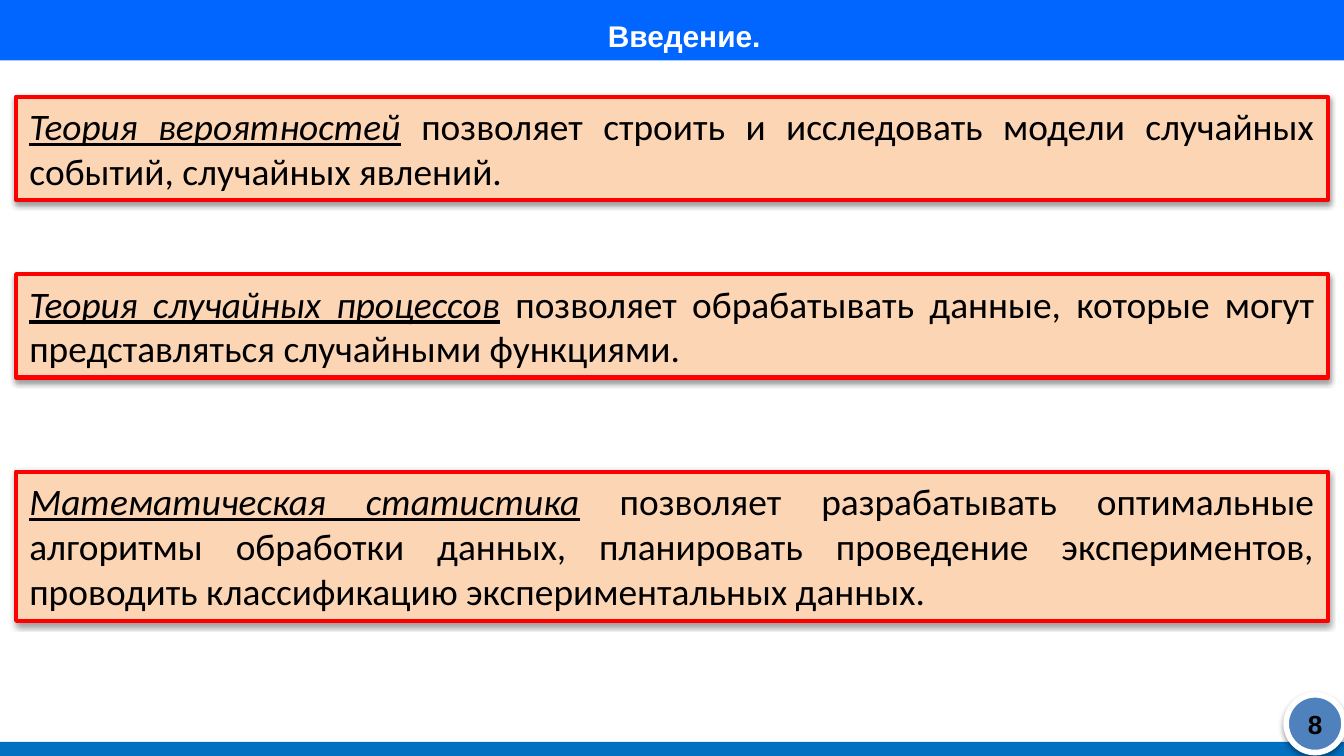
import pptx
import pptx.dml.color
import pptx.enum.shapes
import pptx.enum.text
import pptx.oxml.ns
import pptx.util
from lxml import etree

Inches = pptx.util.Inches
Pt = pptx.util.Pt
Shape = pptx.enum.shapes.MSO_SHAPE
Align = pptx.enum.text.PP_ALIGN
Anchor = pptx.enum.text.MSO_ANCHOR


class Theme:
    """Colours, fonts and type sizes of the slide."""
    header = "0066FF"
    footer = "0070C0"
    badge = "4F81BD"
    panel = "FCD5B5"
    border = "FF0000"
    light = "FFFFFF"
    dark = "000000"
    heading_font = "Arial"
    body_font = "Calibri"
    title_size = 16
    number_size = 14
    body_size = 20


def rgb(value):
    """Turn a hex string into a colour."""
    return pptx.dml.color.RGBColor.from_string(value)


class SlideBuilder:
    """Holds the style and the current slide."""

    def __init__(self, slide, theme):
        self.slide = slide
        self.theme = theme

    def shape(self, kind, box, fill, line=None, line_width=0):
        """Add a filled shape; an outlined one also gets a soft shadow."""
        shape = self.slide.shapes.add_shape(kind, *map(Inches, box))
        shape.shadow.inherit = False
        shape.fill.solid()
        shape.fill.fore_color.rgb = rgb(fill)
        if line:
            shape.line.color.rgb = rgb(line)
            shape.line.width = Pt(line_width)
            self.drop_shadow(shape)
        else:
            shape.line.fill.background()
        return shape

    def drop_shadow(self, shape):
        """Put a downward shadow into the effect list of a shape."""
        qn = pptx.oxml.ns.qn
        effects = shape.element.spPr.find(qn("a:effectLst"))
        shadow = etree.SubElement(
            effects, qn("a:outerShdw"), blurRad=str(Pt(3.1)),
            dist=str(Pt(1.6)), dir="5400000", rotWithShape="0")
        colour = etree.SubElement(
            shadow, qn("a:srgbClr"), val=self.theme.dark)
        etree.SubElement(colour, qn("a:alpha"), val="38000")

    def format_run(self, run, font, size, colour, bold=False):
        """Set the typeface, size, colour and weight of a run."""
        run.font.name = font
        run.font.size = Pt(size)
        run.font.color.rgb = rgb(colour)
        run.font.bold = bold

    def label(self, text, box, size, colour, anchor):
        """Add a centred bold line of text."""
        frame = self.slide.shapes.add_textbox(*map(Inches, box)).text_frame
        frame.word_wrap = True
        frame.vertical_anchor = anchor
        frame.text = text
        paragraph = frame.paragraphs[0]
        paragraph.alignment = Align.CENTER
        self.format_run(paragraph.runs[0], self.theme.heading_font,
                        size, colour, bold=True)
        return frame

    def definition(self, term, description, top, height):
        """Add a bordered panel with an underlined term and its description."""
        theme = self.theme
        panel = self.shape(Shape.RECTANGLE, (0.12, top, 9.76, height),
                           theme.panel, theme.border, 2.25)
        frame = panel.text_frame
        frame.word_wrap = True
        frame.vertical_anchor = Anchor.TOP
        frame.auto_size = pptx.enum.text.MSO_AUTO_SIZE.SHAPE_TO_FIT_TEXT
        paragraph = frame.paragraphs[0]
        paragraph.alignment = Align.JUSTIFY
        for text, is_term in ((term, True), (" " + description, False)):
            run = paragraph.add_run()
            run.text = text
            self.format_run(run, theme.body_font, theme.body_size, theme.dark)
            run.font.italic = is_term
            run.font.underline = is_term


DEFINITIONS = [
    ("Теория вероятностей",
     "позволяет строить и исследовать модели случайных событий, "
     "случайных явлений.", 0.72, 0.77),
    ("Теория случайных процессов",
     "позволяет обрабатывать данные, которые могут представляться "
     "случайными функциями.", 2.04, 0.77),
    ("Математическая статистика",
     "позволяет разрабатывать оптимальные алгоритмы обработки данных, "
     "планировать проведение экспериментов, проводить классификацию "
     "экспериментальных данных.", 3.51, 1.11),
]


def main():
    """Build the slide and save it."""
    presentation = pptx.Presentation()
    presentation.slide_width = Inches(10)
    presentation.slide_height = Inches(10 * 9 / 16)
    slide = presentation.slides.add_slide(presentation.slide_layouts[6])
    theme = Theme()
    builder = SlideBuilder(slide, theme)

    builder.shape(Shape.RECTANGLE, (0, 0, 10, 0.45), theme.header)
    title = builder.label("Введение.", (0.77, -0.02, 8.48, 0.47),
                          theme.title_size, theme.light, Anchor.BOTTOM)
    title.margin_left = Inches(0.26)
    title.margin_bottom = Inches(0.05)

    builder.shape(Shape.RECTANGLE, (0, 5.52, 10, 0.11), theme.footer)
    builder.shape(Shape.OVAL, (9.57, 5.17, 0.43, 0.43),
                  theme.badge, theme.light, 3)
    builder.label("8", (9.57, 5.24, 0.43, 0.3),
                  theme.number_size, theme.dark, Anchor.MIDDLE)

    for definition in DEFINITIONS:
        builder.definition(*definition)
    presentation.save("out.pptx")


main()
